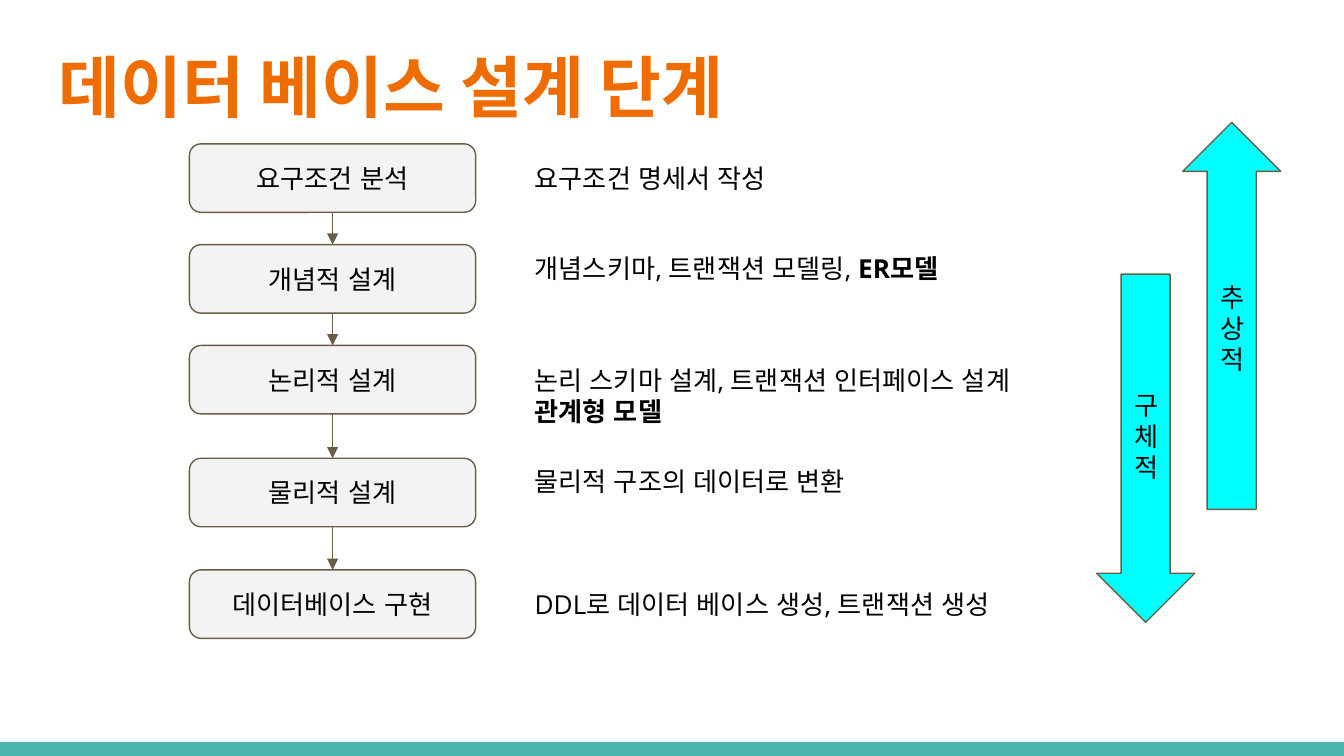
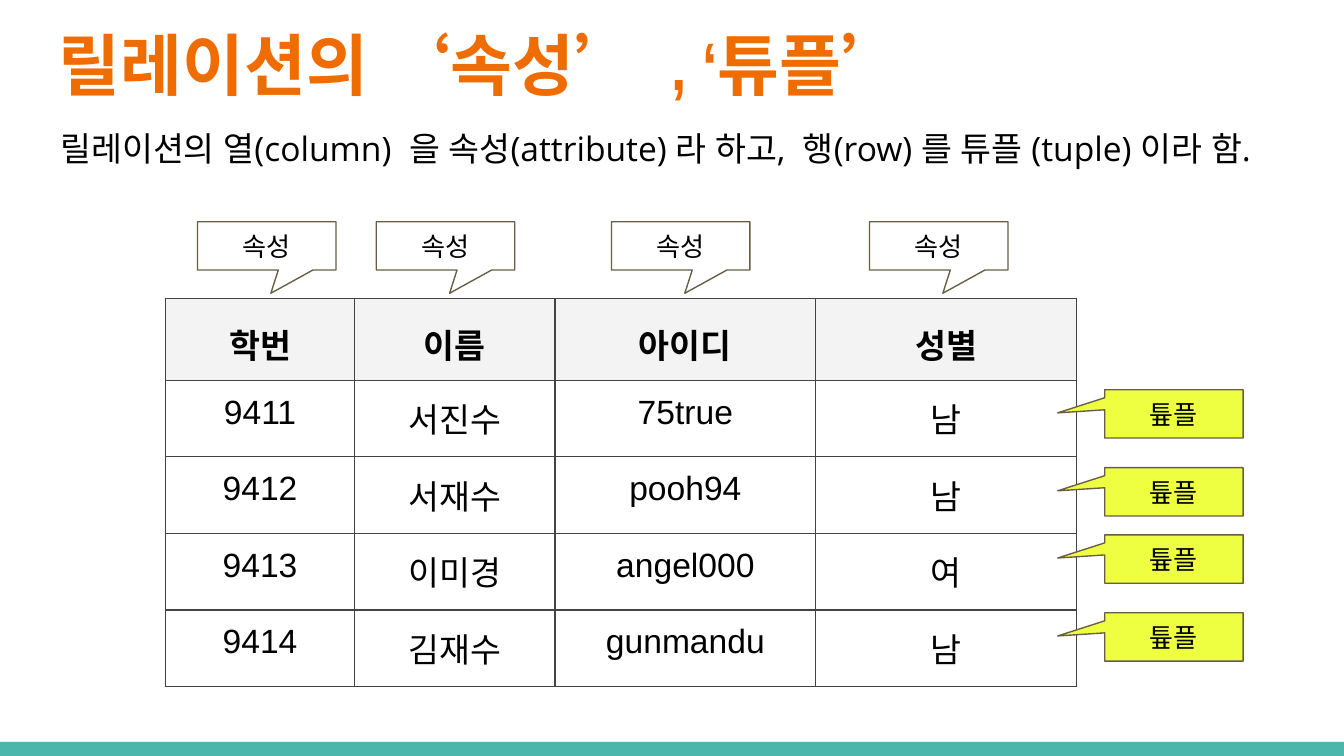
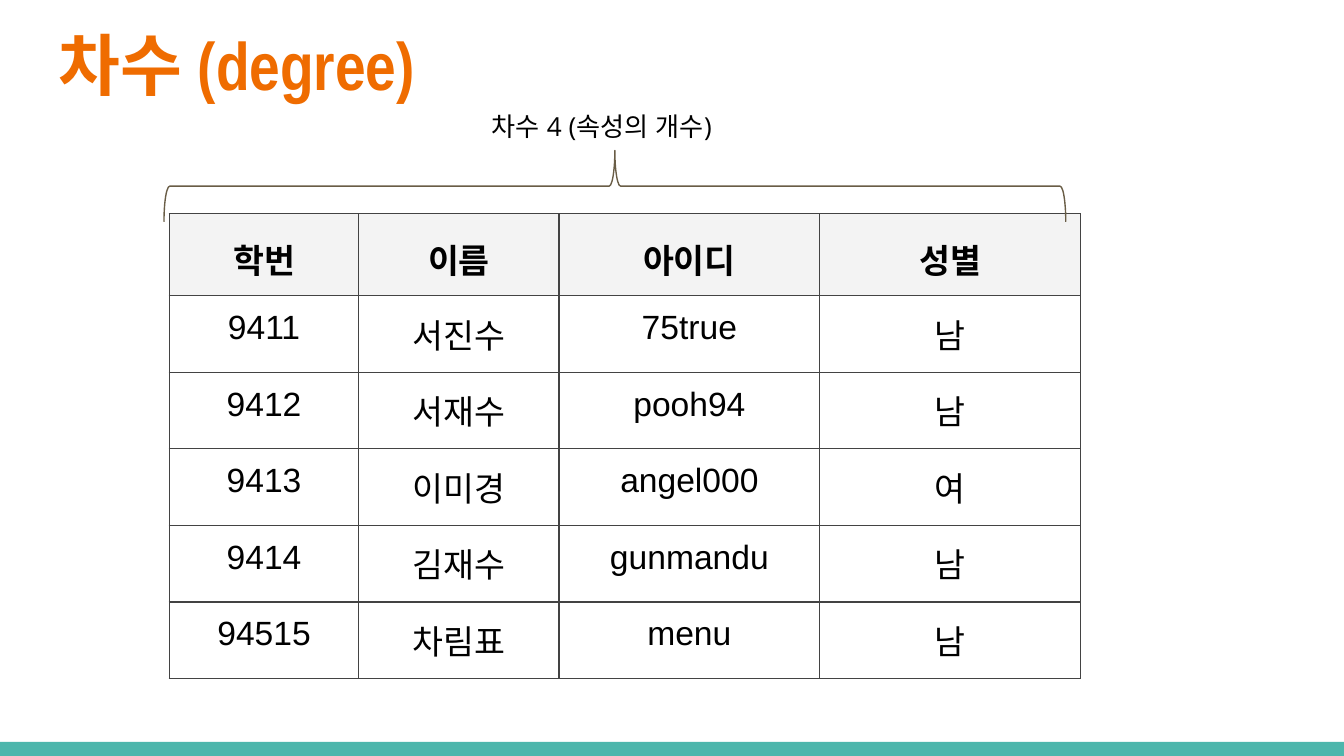
"""Build three slides on database design steps and the parts of a relation."""
from lxml import etree
from pptx import Presentation
from pptx.dml.color import RGBColor
from pptx.enum.shapes import MSO_CONNECTOR, MSO_SHAPE
from pptx.enum.text import MSO_ANCHOR, PP_ALIGN
from pptx.oxml.ns import qn
from pptx.util import Inches, Pt

LEFT, CENTER = PP_ALIGN.LEFT, PP_ALIGN.CENTER
TOP, MIDDLE = MSO_ANCHOR.TOP, MSO_ANCHOR.MIDDLE
RECTANGLE, ROUNDED = MSO_SHAPE.RECTANGLE, MSO_SHAPE.ROUNDED_RECTANGLE
CALLOUT, BRACE = MSO_SHAPE.ROUNDED_RECTANGULAR_CALLOUT, MSO_SHAPE.RIGHT_BRACE
UP_ARROW, DOWN_ARROW = MSO_SHAPE.UP_ARROW, MSO_SHAPE.DOWN_ARROW
STRAIGHT = MSO_CONNECTOR.STRAIGHT

COLORS = {
    "band": "4DB6AC", "title": "EF6C00", "text": "000000", "outline": "695D46",
    "pale": "F3F3F3", "white": "FFFFFF", "arrow": "00FFFF", "tuple": "EEFF41",
    "grid": "434343",
}
BODY_FONT, TITLE_FONT, NOTE_FONT = "Arial", "Arial Narrow", "Open Sans"
INSET = Inches(0.1)

STEPS = [
    ("요구조건 분석", 1.07), ("개념적 설계", 1.82), ("논리적 설계", 2.57),
    ("물리적 설계", 3.41), ("데이터베이스 구현", 4.24),
]
STEP_NOTES = [
    (1.11, [[("요구조건 명세서 작성", False)]]),
    (1.78, [[("개념스키마, 트랜잭션 모델링, ", False), ("ER모델", True)]]),
    (2.61, [[("논리 스키마 설계, 트랜잭션 인터페이스 설계", False)],
            [("관계형 모델", True)]]),
    (3.36, [[("물리적 구조의 데이터로 변환", False)]]),
    (4.28, [[("DDL로 데이터 베이스 생성, 트랜잭션 생성", False)]]),
]
DIRECTIONS = [
    (DOWN_ARROW, "구체적", (8.16, 2.04, 0.73, 2.59)),
    (UP_ARROW, "추상적", (8.8, 0.91, 0.73, 2.88)),
]

HEADER = ("학번", "이름", "아이디", "성별")
STUDENTS = [
    ("9411", "서진수", "75true", "남"),
    ("9412", "서재수", "pooh94", "남"),
    ("9413", "이미경", "angel000", "여"),
    ("9414", "김재수", "gunmandu", "남"),
]
EXTRA_STUDENT = ("94515", "차림표", "menu", "남")
COLUMN_WIDTHS = (1.41, 1.49, 1.94, 1.94)
HEADER_HEIGHT, ROW_HEIGHT = 0.61, 0.57


def color(name):
    return RGBColor.from_string(COLORS[name])


def place(area):
    return [Inches(value) for value in area]


def write(frame, lines, font=BODY_FONT, size=14, ink="text", bold=False,
          align=LEFT, spacing=None, east_asian=True):
    """Fill a text frame with lines, each a string or a list of (text, bold)."""
    for index, line in enumerate(lines):
        para = frame.paragraphs[0] if index == 0 else frame.add_paragraph()
        para.alignment = align
        if spacing:
            para.line_spacing = spacing
        for text, strong in [(line, bold)] if isinstance(line, str) else line:
            span = para.add_run()
            span.text = text
            span.font.size, span.font.bold = Pt(size), strong
            span.font.color.rgb = color(ink)
            span.font.name = font
            if east_asian:
                etree.SubElement(span._r.get_or_add_rPr(), qn("a:ea"), typeface=font)


def set_frame(frame, anchor):
    frame.word_wrap = True
    frame.vertical_anchor = anchor
    frame.margin_left = frame.margin_right = INSET
    frame.margin_top = frame.margin_bottom = INSET


def add_text(page, area, lines, **style):
    box = page.shapes.add_textbox(*place(area))
    set_frame(box.text_frame, TOP)
    write(box.text_frame, lines, **style)


def add_shape(page, kind, area, fill=None, line="outline", adjust=(), lines=(), align=CENTER):
    shape = page.shapes.add_shape(kind, *place(area))
    shape.shadow.inherit = False
    for index, value in enumerate(adjust):
        shape.adjustments[index] = value
    if fill:
        shape.fill.solid()
        shape.fill.fore_color.rgb = color(fill)
    else:
        shape.fill.background()
    if line:
        shape.line.color.rgb = color(line)
        shape.line.width = Pt(0.75)
    else:
        shape.line.fill.background()
    set_frame(shape.text_frame, MIDDLE)
    write(shape.text_frame, lines, align=align)
    return shape


def join(page, upper, lower):
    """Draw an arrow from the bottom of one box to the top of the next."""
    arrow = page.shapes.add_connector(STRAIGHT, 0, 0, 0, 0)
    arrow.begin_connect(upper, 2)
    arrow.end_connect(lower, 0)
    arrow.line.color.rgb = color("outline")
    arrow.line.width = Pt(0.75)
    etree.SubElement(arrow.line._get_or_add_ln(), qn("a:tailEnd"), type="triangle")
    etree.SubElement(arrow._element.spPr, qn("a:effectLst"))


def add_borders(cell):
    properties = cell._tc.get_or_add_tcPr()
    for side in ("lnL", "lnR", "lnT", "lnB"):
        border = etree.SubElement(properties, qn(f"a:{side}"), w=str(Pt(0.75)))
        fill = etree.SubElement(border, qn("a:solidFill"))
        etree.SubElement(fill, qn("a:srgbClr"), val=COLORS["grid"])


def add_relation(page, left, top, students):
    rows = [HEADER, *students]
    height = HEADER_HEIGHT + ROW_HEIGHT * len(students)
    area = place((left, top, sum(COLUMN_WIDTHS), height))
    table = page.shapes.add_table(len(rows), len(HEADER), *area).table
    table.first_row = table.horz_banding = False
    for column, width in zip(table.columns, COLUMN_WIDTHS):
        column.width = Inches(width)
    for row_index, values in enumerate(rows):
        is_header = row_index == 0
        table.rows[row_index].height = Inches(HEADER_HEIGHT if is_header else ROW_HEIGHT)
        for column_index, value in enumerate(values):
            cell = table.cell(row_index, column_index)
            add_borders(cell)
            cell.margin_left = cell.margin_right = INSET
            cell.margin_top = cell.margin_bottom = INSET
            if is_header:
                cell.fill.solid()
                cell.fill.fore_color.rgb = color("pale")
            else:
                cell.fill.background()
            write(cell.text_frame, [value], size=18, bold=is_header, align=CENTER,
                  spacing=1.15 if is_header else None, east_asian=False)


def add_page(deck, title, title_top=0.07):
    page = deck.slides.add_slide(deck.slide_layouts[6])
    add_shape(page, RECTANGLE, (0, 5.52, 10, 0.11), fill="band", line=None)
    add_text(page, (0.34, title_top, 9.32, 0.77), [title], font=TITLE_FONT, size=36,
             ink="title", bold=True, east_asian=False)
    return page


def build_steps(deck):
    page = add_page(deck, "데이터 베이스 설계 단계", title_top=0.24)
    boxes = [add_shape(page, ROUNDED, (1.41, top, 2.13, 0.51), fill="pale",
                       adjust=(0.17,), lines=[name]) for name, top in STEPS]
    for upper, lower in zip(boxes, boxes[1:]):
        join(page, upper, lower)
    for top, lines in STEP_NOTES:
        add_text(page, (3.88, top, 4.26, 0.51), lines, font=NOTE_FONT)
    for kind, word, area in DIRECTIONS:
        add_shape(page, kind, area, fill="arrow", adjust=(0.5, 0.5), lines=list(word), align=LEFT)


def build_attributes(deck):
    page = add_page(deck, "릴레이션의 ‘속성’  , ‘튜플’")
    add_relation(page, 1.23, 2.22, STUDENTS)
    for left in ATTRIBUTE_LEFTS:
        add_shape(page, CALLOUT, (left, 1.65, 1.03, 0.36), fill="white",
                  adjust=(0.03, 0.98, 0), lines=["속성"])
    for top in TUPLE_TOPS:
        add_shape(page, CALLOUT, (8.22, top, 1.03, 0.36), fill="tuple",
                  adjust=(-0.84, -0.02, 0), lines=["튶플"])
    add_text(page, (0.35, 0.85, 9.52, 0.59),
             ["릴레이션의 열(column)  을 속성(attribute) 라 하고,  행(row) 를 튜플 (tuple) 이라 함."],
             font=NOTE_FONT, size=18)


ATTRIBUTE_LEFTS = (1.47, 2.8, 4.55, 6.47)
TUPLE_TOPS = (2.9, 3.48, 3.98, 4.56)


def build_degree(deck):
    page = add_page(deck, "차수 (degree)")
    add_relation(page, 1.26, 1.59, [*STUDENTS, EXTRA_STUDENT])
    brace = add_shape(page, BRACE, (4.31, -1.97, 0.53, 6.71), adjust=(0.08, 0.5))
    brace.rotation = 270
    add_text(page, (3.56, 0.72, 2.15, 0.38), ["차수 4 (속성의 개수)"], font=NOTE_FONT)


def main():
    deck = Presentation()
    deck.slide_width = Inches(10)
    deck.slide_height = deck.slide_width * 9 // 16
    build_steps(deck)
    build_attributes(deck)
    build_degree(deck)
    deck.save("out.pptx")


if __name__ == "__main__":
    main()
